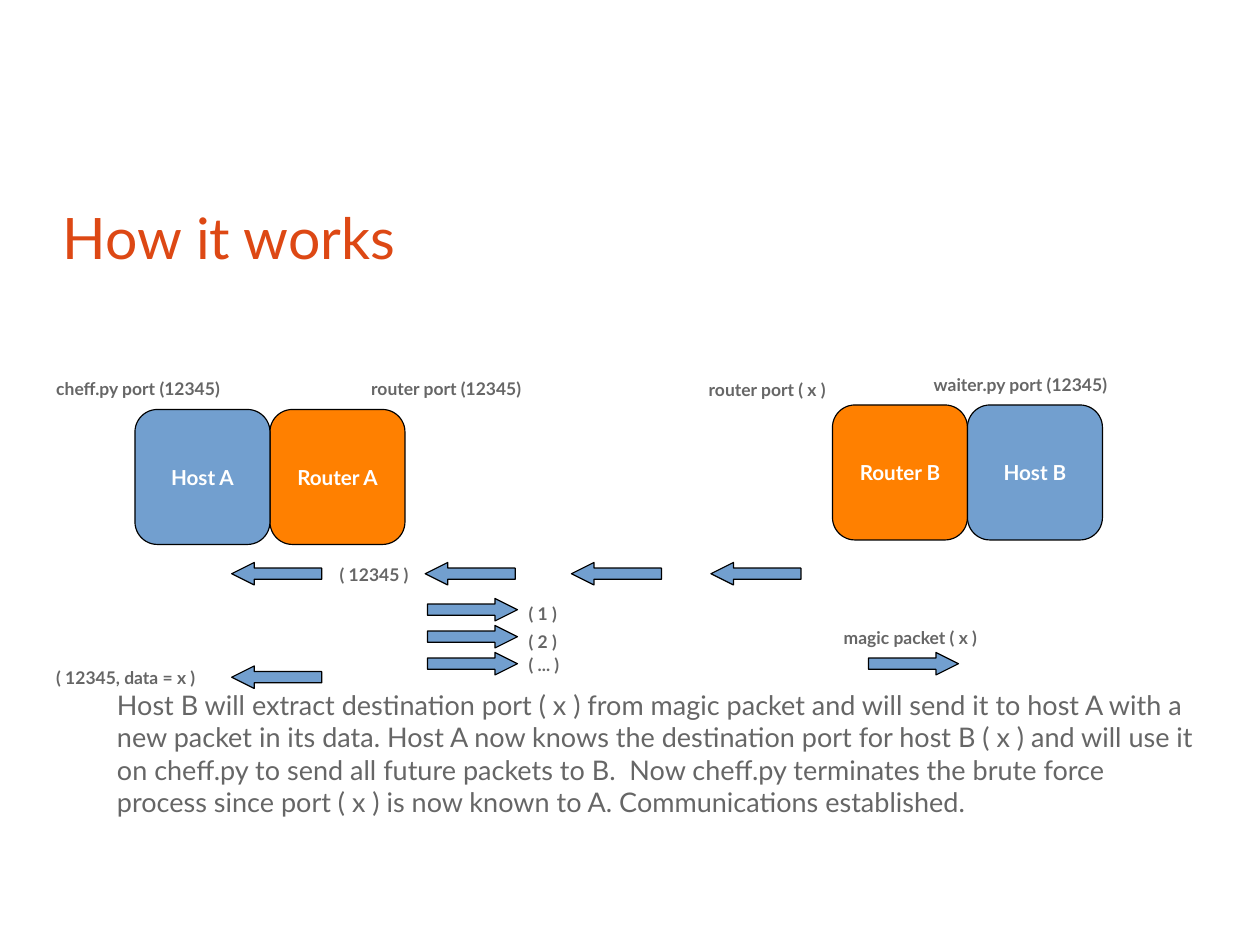
from dataclasses import dataclass

from pptx import Presentation
from pptx.dml.color import RGBColor
from pptx.enum.shapes import MSO_SHAPE
from pptx.enum.text import MSO_ANCHOR, PP_ALIGN
from pptx.shapes.autoshape import Shape
from pptx.slide import Slide
from pptx.util import Cm, Pt

NODE_SHAPE = MSO_SHAPE.FLOWCHART_ALTERNATE_PROCESS
LEFT_ARROW = MSO_SHAPE.LEFT_ARROW
RIGHT_ARROW = MSO_SHAPE.RIGHT_ARROW
TOP, MIDDLE = MSO_ANCHOR.TOP, MSO_ANCHOR.MIDDLE
LEFT, CENTER = PP_ALIGN.LEFT, PP_ALIGN.CENTER

FONT = "Lato"
TITLE_RED = RGBColor(0xDD, 0x48, 0x14)
TEXT_GREY = RGBColor(0x66, 0x66, 0x66)
HOST_BLUE = RGBColor(0x72, 0x9F, 0xCF)
ROUTER_ORANGE = RGBColor(0xFF, 0x80, 0x00)
WHITE = RGBColor(0xFF, 0xFF, 0xFF)
BLACK = RGBColor(0x00, 0x00, 0x00)

NODE_SIZE = 3.0
ARROW_WIDTH, ARROW_HEIGHT = 2.0, 0.5
LABEL_HEIGHT = 0.8
INSET_X, INSET_Y = 0.25, 0.13

EXPLANATION = (
    "Host B will extract destination port ( x ) from magic packet and will send it "
    "to host A with a new packet in its data. Host A now knows the destination port "
    "for host B ( x ) and will use it on cheff.py to send all future packets to B.  "
    "Now cheff.py terminates the brute force process since port ( x ) is now known "
    "to A. Communications established."
)


@dataclass(frozen=True)
class Node:
    name: str
    left: float
    top: float
    color: RGBColor


@dataclass(frozen=True)
class Arrow:
    kind: MSO_SHAPE
    left: float
    top: float


@dataclass(frozen=True)
class Label:
    text: str
    left: float
    top: float
    width: float


SITE_A_LEFT, SITE_A_TOP = 3.0, 9.1
SITE_B_LEFT, SITE_B_TOP = 18.5, 9.0
NODES = [
    Node("Router A", SITE_A_LEFT + NODE_SIZE, SITE_A_TOP, ROUTER_ORANGE),
    Node("Router B", SITE_B_LEFT, SITE_B_TOP, ROUTER_ORANGE),
    Node("Host A", SITE_A_LEFT, SITE_A_TOP, HOST_BLUE),
    Node("Host B", SITE_B_LEFT + NODE_SIZE, SITE_B_TOP, HOST_BLUE),
]

REPLY_TOP = 12.5
PROBE_TOPS = (13.3, 13.9, 14.5)
ARROWS = [
    *(Arrow(LEFT_ARROW, left, REPLY_TOP) for left in (5.15, 9.45, 12.7, 15.8)),
    *(Arrow(RIGHT_ARROW, 9.5, top) for top in PROBE_TOPS),
    Arrow(RIGHT_ARROW, 19.3, PROBE_TOPS[-1]),
    Arrow(LEFT_ARROW, 5.15, 14.8),
]

LABELS = [
    Label("cheff.py port (12345)", 1.0, 8.28, 6.0),
    Label("router port (12345)", 8.0, 8.28, 5.0),
    Label("router port ( x )", 15.5, 8.3, 4.5),
    Label("waiter.py port (12345)", 20.5, 8.18, 5.5),
    Label("( 12345 )", 7.3, 12.4, 2.5),
    Label("( 1 )", 11.5, 13.28, 2.5),
    Label("( 2 )", 11.5, 13.9, 2.5),
    Label("( ... )", 11.5, 14.4, 2.5),
    Label("magic packet ( x )", 18.5, 13.8, 4.5),
    Label("( 12345, data = x )", 1.0, 14.7, 4.9),
]


def write_text(box: Shape, text: str, *, size: float, color: RGBColor,
               bold: bool = False, align: PP_ALIGN = LEFT,
               anchor: MSO_ANCHOR = TOP, inset: bool = True,
               wrap: bool = True) -> None:
    frame = box.text_frame
    frame.word_wrap = wrap
    frame.vertical_anchor = anchor
    frame.margin_left = frame.margin_right = Cm(INSET_X if inset else 0)
    frame.margin_top = frame.margin_bottom = Cm(INSET_Y if inset else 0)
    para = frame.paragraphs[0]
    para.alignment = align
    span = para.add_run()
    span.text = text
    span.font.name = FONT
    span.font.size = Pt(size)
    span.font.bold = bold
    span.font.color.rgb = color


def add_text_box(page: Slide, left: float, top: float,
                 width: float, height: float) -> Shape:
    return page.shapes.add_textbox(Cm(left), Cm(top), Cm(width), Cm(height))


def add_outlined_shape(page: Slide, kind: MSO_SHAPE, left: float, top: float,
                       width: float, height: float, color: RGBColor) -> Shape:
    shape = page.shapes.add_shape(kind, Cm(left), Cm(top), Cm(width), Cm(height))
    shape.shadow.inherit = False
    shape.fill.solid()
    shape.fill.fore_color.rgb = color
    shape.line.color.rgb = BLACK
    shape.line.width = Pt(0)
    return shape


def add_node(page: Slide, node: Node) -> None:
    box = add_outlined_shape(page, NODE_SHAPE, node.left, node.top,
                             NODE_SIZE, NODE_SIZE, node.color)
    write_text(box, node.name, size=13, color=WHITE, bold=True,
               align=CENTER, anchor=MIDDLE, wrap=False)


def add_arrow(page: Slide, arrow: Arrow) -> None:
    shape = add_outlined_shape(page, arrow.kind, arrow.left, arrow.top,
                               ARROW_WIDTH, ARROW_HEIGHT, HOST_BLUE)
    shape.adjustments[0] = 0.5
    shape.adjustments[1] = 1.0


def add_label(page: Slide, label: Label) -> None:
    box = add_text_box(page, label.left, label.top, label.width, LABEL_HEIGHT)
    write_text(box, label.text, size=11, color=TEXT_GREY, bold=True)


def main() -> None:
    deck = Presentation()
    deck.slide_width, deck.slide_height = Cm(28), Cm(21)
    page = deck.slides.add_slide(deck.slide_layouts[6])

    title = add_text_box(page, 1.4, 4.2, 25.2, 2.13)
    write_text(title, "How it works", size=36, color=TITLE_RED,
               anchor=MIDDLE, inset=False)
    explanation = add_text_box(page, 2.6, 15.3, 24.0, 2.9)
    write_text(explanation, EXPLANATION, size=17, color=TEXT_GREY, inset=False)

    for node in NODES:
        add_node(page, node)
    for arrow in ARROWS:
        add_arrow(page, arrow)
    for label in LABELS:
        add_label(page, label)

    deck.save("out.pptx")


if __name__ == "__main__":
    main()
